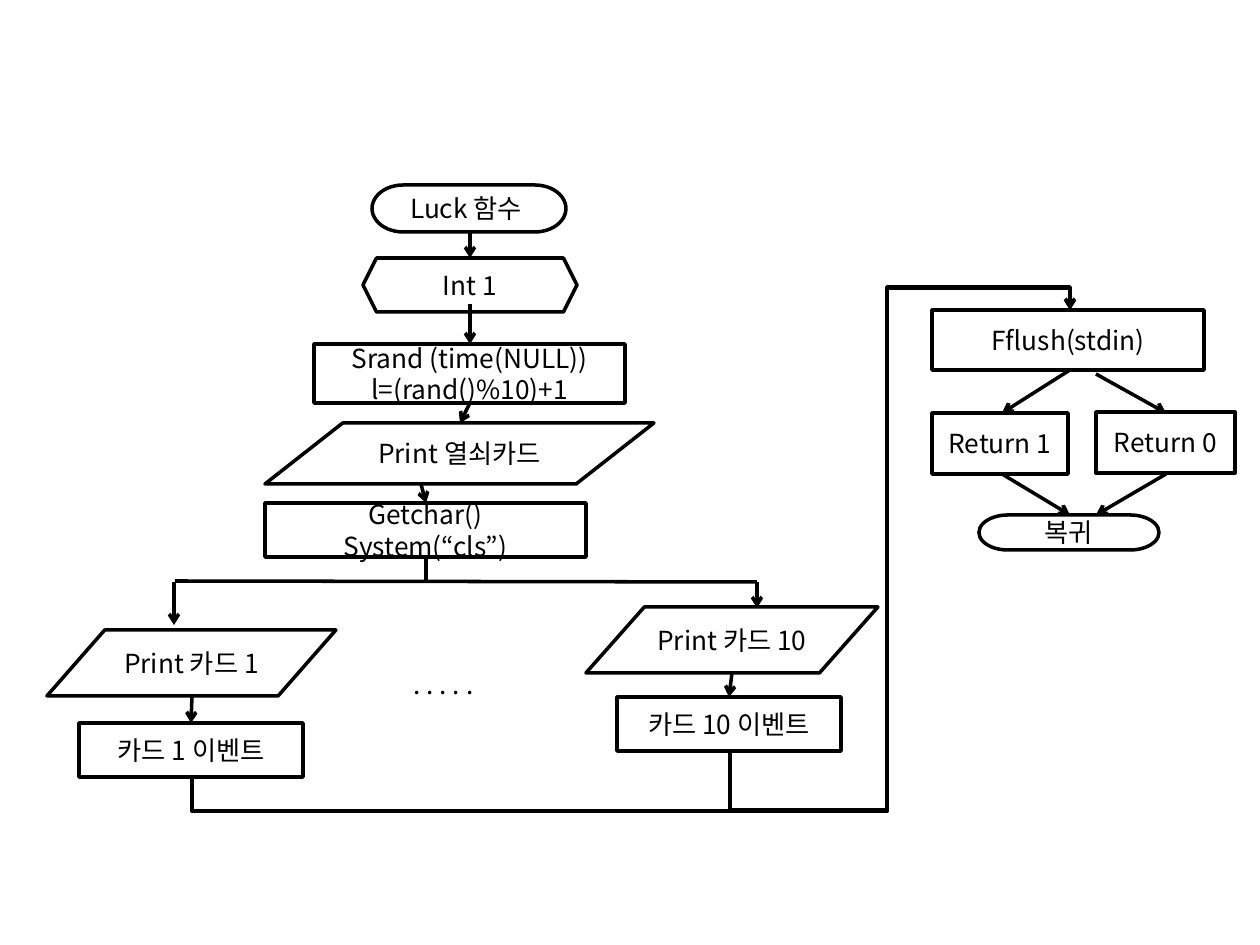
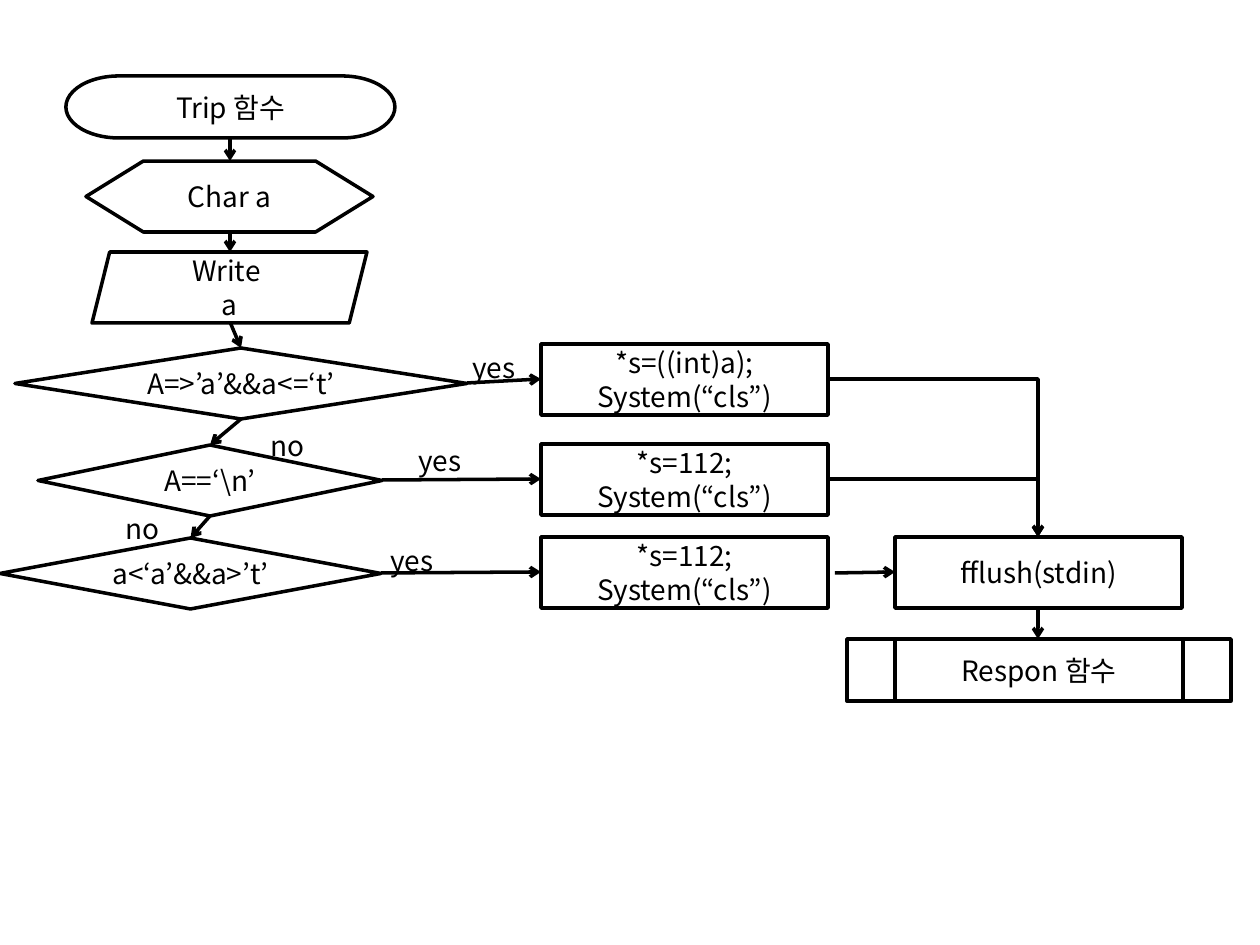
from dataclasses import dataclass
from typing import Any

from lxml.etree import SubElement
from pptx import Presentation
from pptx.dml.color import RGBColor
from pptx.enum.shapes import MSO_CONNECTOR as CONN, MSO_SHAPE as SHAPE
from pptx.enum.text import MSO_ANCHOR as ANCHOR, PP_ALIGN as ALIGN
from pptx.oxml.ns import qn
from pptx.util import Pt

PX = 914400 / 126
BLACK = RGBColor(0, 0, 0)
WHITE = RGBColor(255, 255, 255)
FONT = "Noto Sans CJK KR"
LINE_WIDTH = 2


def px(value):
    """Turn pixels into EMU."""
    return round(value * PX)


@dataclass
class Region:
    """Part of a slide with its own origin and text size."""
    slide: Any
    x: int
    y: int
    size: int

    def place(self, x, y):
        """Return a point of the region in slide EMU."""
        return px(self.x + x), px(self.y + y)


def write(sp, text, size, align=ALIGN.LEFT, anchor=ANCHOR.TOP):
    """Fill a shape with one paragraph for each line of text."""
    tf = sp.text_frame
    tf.word_wrap = True
    tf.vertical_anchor = anchor
    for i, line in enumerate(text.split("\n")):
        p = tf.add_paragraph() if i else tf.paragraphs[0]
        p.alignment = align
        r = p.add_run()
        r.text = line
        r.font.size = Pt(size)
        r.font.name = FONT
        r.font.color.rgb = BLACK
        SubElement(r.font._element, qn("a:ea"), typeface=FONT)


def node(area, kind, x, y, w, h, text):
    """Draw an outlined flowchart symbol with centred text."""
    sp = area.slide.shapes.add_shape(kind, *area.place(x, y), px(w), px(h))
    sp.shadow.inherit = False
    sp.fill.solid()
    sp.fill.fore_color.rgb = WHITE
    sp.line.color.rgb = BLACK
    sp.line.width = Pt(LINE_WIDTH)
    write(sp, text, area.size, align=ALIGN.CENTER, anchor=ANCHOR.MIDDLE)


def label(area, x, y, w, h, text):
    """Draw a free text label."""
    sp = area.slide.shapes.add_textbox(*area.place(x, y), px(w), px(h))
    write(sp, text, area.size)


def connect(area, start, end, kind=CONN.STRAIGHT, arrow=True):
    """Draw a connector and return its shape properties."""
    c = area.slide.shapes.add_connector(kind, *area.place(*start), *area.place(*end))
    c.line.color.rgb = BLACK
    c.line.width = Pt(LINE_WIDTH)
    props = c._element.spPr
    if arrow:
        SubElement(props.find(qn("a:ln")), qn("a:tailEnd"), type="arrow")
    SubElement(props, qn("a:effectLst"))
    return props


def corner(area, start, end):
    """Draw an arrow that runs right, then down."""
    props = connect(area, start, end, CONN.ELBOW)
    props.find(qn("a:prstGeom")).set("prst", "bentConnector2")


def detour(area, start, end, low, column, high):
    """Draw an arrow that drops to low, climbs at column and enters from high."""
    props = connect(area, start, end, CONN.ELBOW)
    (x1, y1), (x2, y2) = start, end
    w, h = x2 - x1, y1 - y2
    xfrm = props.find(qn("a:xfrm"))
    for key, value in (("rot", "5400000"), ("flipH", "1"), ("flipV", "1")):
        xfrm.set(key, value)
    left, top = area.place((x1 + x2 - h) / 2, (y1 + y2 - w) / 2)
    off, ext = xfrm.find(qn("a:off")), xfrm.find(qn("a:ext"))
    off.set("x", str(left))
    off.set("y", str(top))
    ext.set("cx", str(px(h)))
    ext.set("cy", str(px(w)))
    geom = props.find(qn("a:prstGeom"))
    geom.set("prst", "bentConnector5")
    guides = geom.find(qn("a:avLst"))
    ratios = (y1 - low) / h, (column - x1) / w, (y1 - high) / h
    for i, ratio in enumerate(ratios, 1):
        SubElement(guides, qn("a:gd"), name=f"adj{i}", fmla=f"val {round(ratio * 100000)}")


def draw_card_draw(area):
    """Draw the steps from the start of Luck to the fork between cards."""
    node(area, SHAPE.FLOWCHART_TERMINATOR, 198, 0, 194, 47, "Luck 함수 ")
    node(area, SHAPE.HEXAGON, 189, 73, 214, 54, "Int 1")
    node(area, SHAPE.FLOWCHART_PROCESS, 140, 159, 311, 59,
         "Srand (time(NULL))\nl=(rand()%10)+1")
    node(area, SHAPE.FLOWCHART_DATA, 91, 238, 389, 61, "Print 열쇠카드")
    node(area, SHAPE.FLOWCHART_PROCESS, 91, 318, 321, 54, "Getchar()\nSystem(“cls”)")
    for start, end in (((296, 47), (296, 73)), ((296, 119), (296, 159)),
                       ((296, 218), (286, 238)), ((247, 299), (252, 318)),
                       ((0, 397), (0, 440)), ((583, 397), (583, 423))):
        connect(area, start, end)
    connect(area, (252, 372), (252, 397), arrow=False)
    connect(area, (1, 396), (583, 397), arrow=False)


def draw_card(area, number, width, event_x, event_y, drop):
    """Draw the print and event steps of one card."""
    node(area, SHAPE.FLOWCHART_DATA, 0, 0, width, 66, f"Print 카드 {number}")
    node(area, SHAPE.FLOWCHART_PROCESS, event_x, event_y, 224, 54, f"카드 {number} 이벤트")
    connect(area, (drop, 66), (event_x + 112, event_y))


def draw_return(area):
    """Draw the flush step, both results and the return."""
    node(area, SHAPE.FLOWCHART_PROCESS, 0, 0, 272, 60, "Fflush(stdin)")
    node(area, SHAPE.FLOWCHART_PROCESS, 0, 103, 136, 61, "Return 1")
    node(area, SHAPE.FLOWCHART_PROCESS, 164, 102, 139, 61, "Return 0")
    node(area, SHAPE.FLOWCHART_TERMINATOR, 47, 205, 180, 35, "복귀")
    for inner, outer, top in ((138, 70, 60), (164, 234, 64)):
        connect(area, (inner, top), (outer, 103))
        connect(area, (outer, 164), (inner, 205))


def draw_input(area):
    """Draw the steps that read the character."""
    node(area, SHAPE.FLOWCHART_TERMINATOR, 0, 0, 329, 62, "Trip 함수")
    node(area, SHAPE.FLOWCHART_PREPARATION, 20, 85, 287, 71, "Char a")
    node(area, SHAPE.PARALLELOGRAM, 26, 176, 275, 71, "Write \na")
    for start, end in (((164, 63), (164, 85)), ((164, 155), (164, 176)),
                       ((164, 246), (175, 272))):
        connect(area, start, end)


def draw_decisions(area):
    """Draw the tests, each with its action on the right."""
    height, action_x, action_w = 71, 541, 287
    half = height // 2
    tests = (
        (15, 4, 452, 0, "A=>’a’&&a<=‘t’", "*s=((int)a);", (460, 0)),
        (38, 101, 344, 100, "A==‘\\n’", "*s=112;", (406, 93)),
        (0, 194, 381, 193, "a<‘a’&&a>’t’", "*s=112;", (378, 193)),
    )
    for x, y, w, action_y, test, action, yes in tests:
        node(area, SHAPE.FLOWCHART_DECISION, x, y, w, height, test)
        node(area, SHAPE.FLOWCHART_PROCESS, action_x, action_y, action_w, height,
             f"{action}\nSystem(“cls”)")
        connect(area, (x + w, y + half), (action_x, action_y + half))
        label(area, *yes, 72, 88, "yes")
    for (x, y, w, *_), (next_x, next_y, next_w, *_) in zip(tests, tests[1:]):
        connect(area, (x + w / 2, y + height), (next_x + next_w / 2, next_y))
    for x, y in ((258, 78), (113, 161)):
        label(area, x, y, 72, 50, "no")


def draw_finish(area):
    """Draw the flush step, the next function and the arrows into them."""
    node(area, SHAPE.FLOWCHART_PROCESS, 48, 0, 287, 71, "fflush(stdin)")
    node(area, SHAPE.FLOWCHART_PREDEFINED_PROCESS, 0, 102, 384, 62, "Respon 함수")
    connect(area, (-12, 36), (48, 35))
    connect(area, (191, 71), (191, 102))
    for y in (-158, -58):
        corner(area, (-19, y), (191, 0))


def draw_luck(slide):
    """Draw the flowchart of the Luck function."""
    size = 15
    draw_card_draw(Region(slide, 174, 185, size))
    draw_card(Region(slide, 47, 630, size), 1, 289, 32, 93, 145)
    draw_card(Region(slide, 586, 607, size), 10, 292, 31, 90, 146)
    draw_return(Region(slide, 932, 310, size))
    whole = Region(slide, 0, 0, size)
    label(whole, 401, 662, 126, 44, ". . . . .")
    detour(whole, (730, 751), (1070, 310), 810, 887, 287)
    detour(whole, (192, 777), (1070, 310), 811, 887, 288)


def draw_trip(slide):
    """Draw the flowchart of the Trip function."""
    size = 16
    draw_input(Region(slide, 66, 76, size))
    draw_decisions(Region(slide, 0, 344, size))
    draw_finish(Region(slide, 847, 537, size))


def main():
    """Build and save both flowchart slides."""
    prs = Presentation()
    prs.slide_width, prs.slide_height = px(1260), px(945)
    blank = prs.slide_layouts[6]
    for draw in (draw_luck, draw_trip):
        draw(prs.slides.add_slide(blank))
    prs.save("out.pptx")


main()
